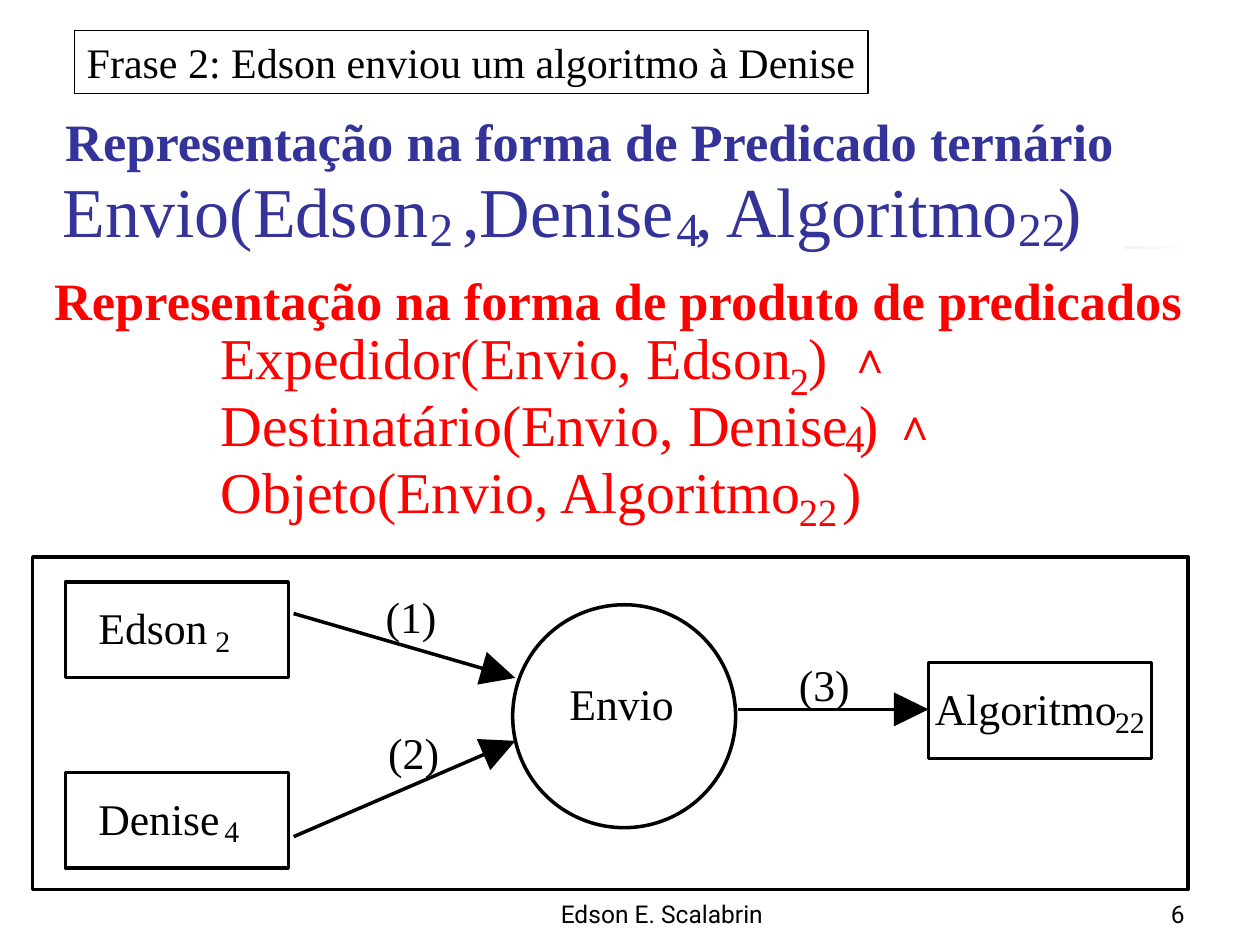
from math import hypot

from lxml.etree import SubElement
from pptx import Presentation
from pptx.dml.color import RGBColor
from pptx.enum.shapes import MSO_CONNECTOR as Connector, MSO_SHAPE as Shape
from pptx.enum.text import MSO_ANCHOR as Anchor, MSO_AUTO_SIZE as AutoSize, PP_ALIGN as Align
from pptx.oxml.ns import qn
from pptx.util import Pt

COLORS = {"black": "000000", "white": "FFFFFF", "blue": "333399",
          "red": "FF0000", "rule": "1C1C1C"}
SERIF = "Times New Roman"
SANS = "Roboto"
LINE_HEIGHT = 1.2
SLACK = 5  # spare width that keeps each formula piece on one line

PHRASE = "Frase 2: Edson enviou um algoritmo à Denise"
# text, left, top, colour
HEADINGS = [
    ("Representação na forma de Predicado ternário", 30.2, 59, "blue"),
    ("Representação na forma de produto de predicados", 23.8, 149.8, "red"),
]
# Formula pieces are (text, left, width); digits are set as subscripts.
TERNARY = [("Envio(Edson", 36, 208.8), ("2", 245.5, 13.7), (" ,Denise", 254.2, 131),
           ("4", 386.6, 13.7), (", Algoritmo", 397.4, 186.5), ("22", 581.8, 27.4),
           (")", 604.8, 13.7)]
# subscript drop, pieces
PRODUCT = [
    (20.2, [("Expedidor(Envio, Edson", 126, 326.2), ("2", 451.4, 10.8),
            (")", 462.2, 19.4), ("∧", 484.6, 8.6)]),
    (14.4, [("Destinatário(Envio, Denise", 126, 359.3), ("4", 483.1, 10.8),
            (")", 491, 19.4), ("∧", 510.5, 8.6)]),
    (18.7, [("Objeto(Envio, Algoritmo", 126, 333.4), ("22", 456.5, 22.3),
            (")", 481.7, 10.8)]),
]
PRODUCT_TOP, PRODUCT_PITCH = 183.6, 38.4

# box left, box top, label pieces
NODES = [
    (37.4, 332.6, [("Edson", 56.2, 62.6), ("2", 123.1, 8.6)]),
    (37.4, 441.4, [("Denise", 56.2, 69.1), ("4", 128.2, 8.6)]),
    (530.6, 378.7, [("Algoritmo", 534.2, 103.7), ("22", 637.2, 17.3)]),
]
NODE_WIDTH, NODE_HEIGHT, NODE_PADDING = 127.4, 54.7, 10.8
# start, tip, label, label left, label top
ARROWS = [
    ((167.8, 350.6), (294.5, 387.4), "(1)", 220.3, 337),
    ((167.8, 478.1), (294.5, 423.4), "(2)", 221.8, 414.7),
    ((421.9, 405.4), (530.6, 405.4), "(3)", 456.5, 375.8),
]
HEAD_LENGTH, HEAD_HALF_WIDTH = 19.8, 9.7
# text, left, width, alignment
FOOTER = [("Edson E. Scalabrin", 264.2, 228.2, Align.CENTER),
          ("6", 534.2, 149.8, Align.RIGHT)]

presentation = Presentation()
presentation.slide_width, presentation.slide_height = Pt(720), Pt(540)
slide = presentation.slides.add_slide(presentation.slide_layouts[6])
shapes = slide.shapes


def color(name):
    return RGBColor.from_string(COLORS[name])


def add_box(left, top, width, height, kind=Shape.RECTANGLE, fill="white", line=None):
    shape = shapes.add_shape(kind, Pt(left), Pt(top), Pt(width), Pt(height))
    shape.shadow.inherit = False
    if fill:
        shape.fill.solid()
        shape.fill.fore_color.rgb = color(fill)
    else:
        shape.fill.background()
    if line:
        shape.line.color.rgb = color("black")
        shape.line.width = Pt(line)
    else:
        shape.line.fill.background()
    return shape


def write(shape, text, size, font=SERIF, ink="black", bold=False, align=Align.LEFT,
          anchor=Anchor.TOP, wrap=False, margins=(0, 0), grow=True):
    frame = shape.text_frame
    frame.word_wrap = wrap
    frame.auto_size = AutoSize.SHAPE_TO_FIT_TEXT if grow else AutoSize.NONE
    frame.vertical_anchor = anchor
    frame.margin_left = frame.margin_right = Pt(margins[0])
    frame.margin_top = frame.margin_bottom = Pt(margins[1])
    paragraph = frame.paragraphs[0]
    paragraph.alignment = align
    run = paragraph.add_run()
    run.text = text
    run.font.name, run.font.size, run.font.bold = font, Pt(size), bold
    run.font.color.rgb = color(ink)


def add_text(text, left, top, width, size, height=None, **text_format):
    box = shapes.add_textbox(Pt(left), Pt(top), Pt(width), Pt(height or size * LINE_HEIGHT))
    write(box, text, size, **text_format)


def add_formula(pieces, top, size, subscript_size, drop, ink="black"):
    for text, left, width in pieces:
        width += SLACK
        if text.isdigit():
            add_text(text, left, top + drop, width, subscript_size, ink=ink)
        elif text == "∧":
            add_text(text, left, top + 4.7, width, 25, font="Arial", ink=ink)
        else:
            add_text(text, left, top, width, size, ink=ink)


def add_arrow(start, tip):
    """Draw a line that ends in a large solid triangle."""
    length = hypot(tip[0] - start[0], tip[1] - start[1])
    along_x, along_y = (tip[0] - start[0]) / length, (tip[1] - start[1]) / length
    base_x, base_y = tip[0] - HEAD_LENGTH * along_x, tip[1] - HEAD_LENGTH * along_y
    line = shapes.add_connector(Connector.STRAIGHT, Pt(start[0]), Pt(start[1]),
                                Pt(base_x + along_x), Pt(base_y + along_y))
    line.line.color.rgb = color("black")
    line.line.width = Pt(2)
    SubElement(line._element.spPr, qn("a:effectLst"))
    side_x, side_y = -HEAD_HALF_WIDTH * along_y, HEAD_HALF_WIDTH * along_x
    builder = shapes.build_freeform(Pt(base_x + side_x), Pt(base_y + side_y))
    builder.add_line_segments([(Pt(tip[0]), Pt(tip[1])),
                               (Pt(base_x - side_x), Pt(base_y - side_y))], close=True)
    head = builder.convert_to_shape()
    head.shadow.inherit = False
    head.fill.solid()
    head.fill.fore_color.rgb = color("black")
    head.line.fill.background()


# Fading rule, mostly covered by the white panel
rule = add_box(34.6, 140.4, 648, 2.2)
rule.fill.gradient()
rule.fill.gradient_angle = 180
for stop, name in zip(rule.fill.gradient_stops, ("white", "rule")):
    stop.color.rgb = color(name)
add_box(0, 72, 642.2, 95.8)

# Phrase and its two representations
write(add_box(42.5, 17.3, 453.6, 36, fill=None, line=0.75), PHRASE, 24, margins=(7.2, 3.6))
add_formula(TERNARY, 95.8, 40, 27, 18, ink="blue")
for row, (drop, pieces) in enumerate(PRODUCT):
    add_formula(pieces, PRODUCT_TOP + row * PRODUCT_PITCH, 33, 22, drop, ink="red")
for text, left, top, ink in HEADINGS:
    add_text(text, left, top, 666, 30, height=43.2, ink=ink, bold=True, wrap=True,
             margins=(7.2, 3.6))

# Graph
add_box(18.7, 318.2, 660.2, 190.1, line=2)
for left, top, pieces in NODES:
    add_box(left, top, NODE_WIDTH, NODE_HEIGHT, line=2)
    add_formula(pieces, top + NODE_PADDING, 25, 17, 12.5)
add_box(293, 345.6, NODE_WIDTH, NODE_WIDTH, kind=Shape.OVAL, line=2)
add_text("Envio", 325.4, 386.6, 59.8 + SLACK, 25)
for start, tip, label, left, top in ARROWS:
    add_arrow(start, tip)
    add_text(label, left, top, 29.5 + SLACK, 25)

for text, left, width, align in FOOTER:
    add_text(text, left, 498.2, width, 14, height=36, font=SANS, align=align,
             anchor=Anchor.BOTTOM, wrap=True, margins=(7.2, 3.6), grow=False)

presentation.save("out.pptx")
